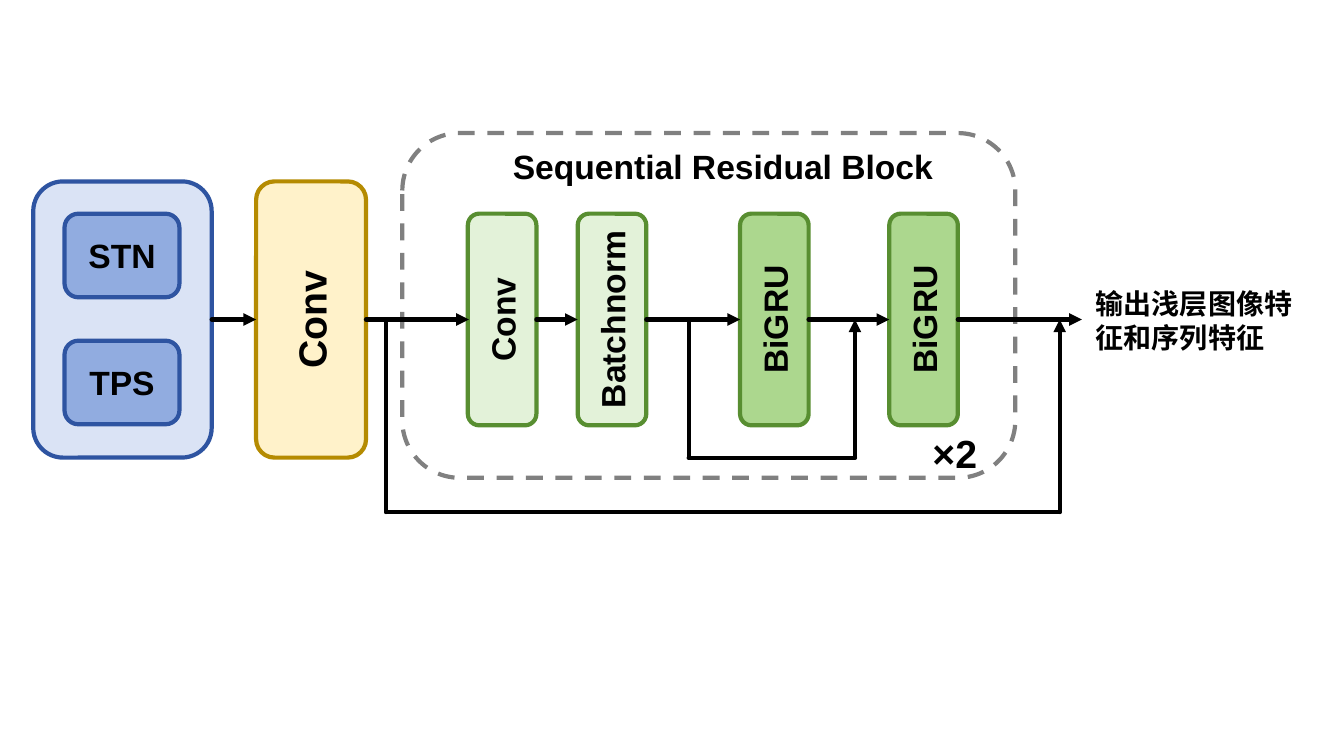
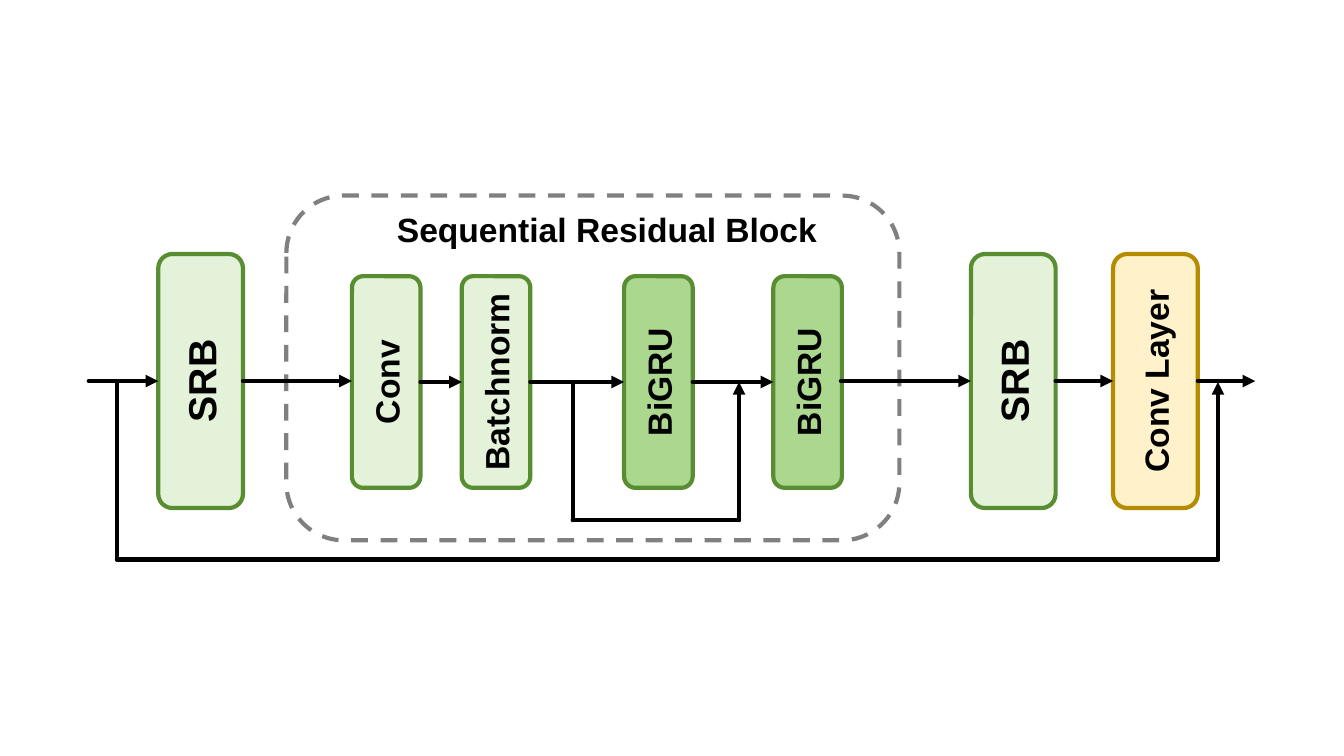
from itertools import pairwise

from lxml import etree
from pptx import Presentation
from pptx.dml.color import RGBColor
from pptx.enum import dml, shapes, text
from pptx.oxml import ns
from pptx.util import Inches, Pt

LATIN, CJK = "Arial", "Noto Sans CJK SC"
BLACK, GREY = "000000", "808080"
# Each style is a fill and an outline colour.
PANEL = ("DAE3F5", "2E54A1")
BLUE = ("91ACE0", "2E54A1")
YELLOW = ("FFF2CA", "B58B01")
PALE = ("E3F2D9", "588E31")
GREEN = ("ACD78E", "588E31")

LINE_WIDTH = Pt(3)
BLOCK_W, BLOCK_H = 6.08, 3.42
BLOCK_FLOW = 1.85  # height of the flow line below the block's top
STAGE_W, STAGE_H, STAGE_TOP = 0.68, 2.1, 0.8
STAGES = [(0.65, "Conv", PALE), (1.74, "Batchnorm", PALE),
          (3.35, "BiGRU", GREEN), (4.83, "BiGRU", GREEN)]


def rgb(value):
    return RGBColor.from_string(value)


def add_xml(parent, tag, **attrs):
    return etree.SubElement(parent, ns.qn(tag), attrs)


def write(shape, label, size, font=LATIN, align=text.PP_ALIGN.CENTER,
          vertical=False, wrap=True):
    tf = shape.text_frame
    settings = {"word_wrap": wrap, "vertical_anchor": text.MSO_ANCHOR.MIDDLE}
    for name, value in settings.items():
        setattr(tf, name, value)
    if vertical:
        tf._txBody.bodyPr.set("vert", "vert270")
    p = tf.paragraphs[0]
    p.alignment = align
    r = p.add_run()
    r.text = label
    for name, value in {"name": font, "size": Pt(size), "bold": True}.items():
        setattr(r.font, name, value)
    r.font.color.rgb = rgb(BLACK)
    add_xml(r._r.get_or_add_rPr(), "a:ea", typeface=font)


def add_text(s, box, label, size, **options):
    write(s.shapes.add_textbox(*map(Inches, box)), label, size, **options)


def add_box(s, box, style, label="", size=24, vertical=True):
    fill, outline = style
    sp = s.shapes.add_shape(shapes.MSO_SHAPE.ROUNDED_RECTANGLE,
                            *map(Inches, box))
    sp.shadow.inherit = False
    if fill:
        sp.fill.solid()
        sp.fill.fore_color.rgb = rgb(fill)
    else:
        sp.fill.background()
    sp.line.color.rgb = rgb(outline)
    sp.line.width = LINE_WIDTH
    if label:
        write(sp, label, size, vertical=vertical, wrap=False)
    return sp


def add_route(s, *points):
    """Join the points with straight lines; the last one ends in an arrowhead."""
    for start, end in pairwise(points):
        line = s.shapes.add_connector(shapes.MSO_CONNECTOR.STRAIGHT,
                                      *map(Inches, start + end))
        line.line.color.rgb = rgb(BLACK)
        line.line.width = LINE_WIDTH
        ln = line.line._get_or_add_ln()
        ln.set("cap", "rnd")
        if end is points[-1]:
            add_xml(ln, "a:tailEnd", type="triangle")
        add_xml(line._element.spPr, "a:effectLst")


def add_arrows(s, y, spans):
    for start, end in spans:
        add_route(s, (start, y), (end, y))


def add_bypass(s, left, right, top, bottom):
    add_route(s, (left, top), (left, bottom), (right, bottom), (right, top))


def residual_block(s, x, y):
    frame = add_box(s, (x, y, BLOCK_W, BLOCK_H), (None, GREY))
    frame.line.dash_style = dml.MSO_LINE.DASH
    add_text(s, (x + 0.57, y + 0.08, 5.22, 0.5),
             "Sequential Residual Block", 24)
    for dx, label, style in STAGES:
        add_box(s, (x + dx, y + STAGE_TOP, STAGE_W, STAGE_H), style, label)
    flow = y + BLOCK_FLOW
    add_arrows(s, flow, [(x + a[0] + STAGE_W, x + b[0])
                         for a, b in pairwise(STAGES)])
    add_bypass(s, x + 2.84, x + 4.49, flow, y + 3.22)


def rectifier(s, x, y):
    add_box(s, (x, y, 1.77, 2.74), PANEL)
    for row, label in enumerate(("STN", "TPS")):
        add_box(s, (x + 0.31, y + 0.32 + row * 1.26, 1.14, 0.83), BLUE,
                label, vertical=False)


def feature_slide(s):
    x, y = 3.99, 1.32
    flow = y + BLOCK_FLOW
    rectifier(s, 0.33, 1.8)
    residual_block(s, x, y)
    add_box(s, (2.54, 1.8, 1.09, 2.74), YELLOW, "Conv", 28)
    add_arrows(s, flow, [(2.1, 2.54), (3.63, 4.65), (9.5, 10.73)])
    add_bypass(s, 3.83, 10.51, flow, 5.08)
    add_text(s, (8.92, 4.21, 1.1, 0.57), "×2", 28)
    add_text(s, (10.77, 2.79, 2.28, 0.77), "输出浅层图像特征和序列特征", 20,
             font=CJK, align=text.PP_ALIGN.LEFT)


def stacked_slide(s):
    x, y = 2.84, 1.94
    flow = y + BLOCK_FLOW
    residual_block(s, x, y)
    columns = [(1.57, "SRB", 28, PALE), (9.63, "SRB", 28, PALE),
               (11.04, "Conv Layer", 24, YELLOW)]
    for left, label, size, style in columns:
        add_box(s, (left, 2.52, 0.84, 2.52), style, label, size)
    add_arrows(s, flow - 0.01, [(0.88, 1.57), (2.41, 3.49), (8.34, 9.63),
                                (10.47, 11.04), (11.88, 12.45)])
    add_bypass(s, 1.16, 12.08, flow, 5.55)


def main():
    prs = Presentation()
    prs.slide_width, prs.slide_height = Inches(13.33), Inches(7.5)
    for build in (feature_slide, stacked_slide):
        build(prs.slides.add_slide(prs.slide_layouts[6]))
    prs.save("out.pptx")


if __name__ == "__main__":
    main()
